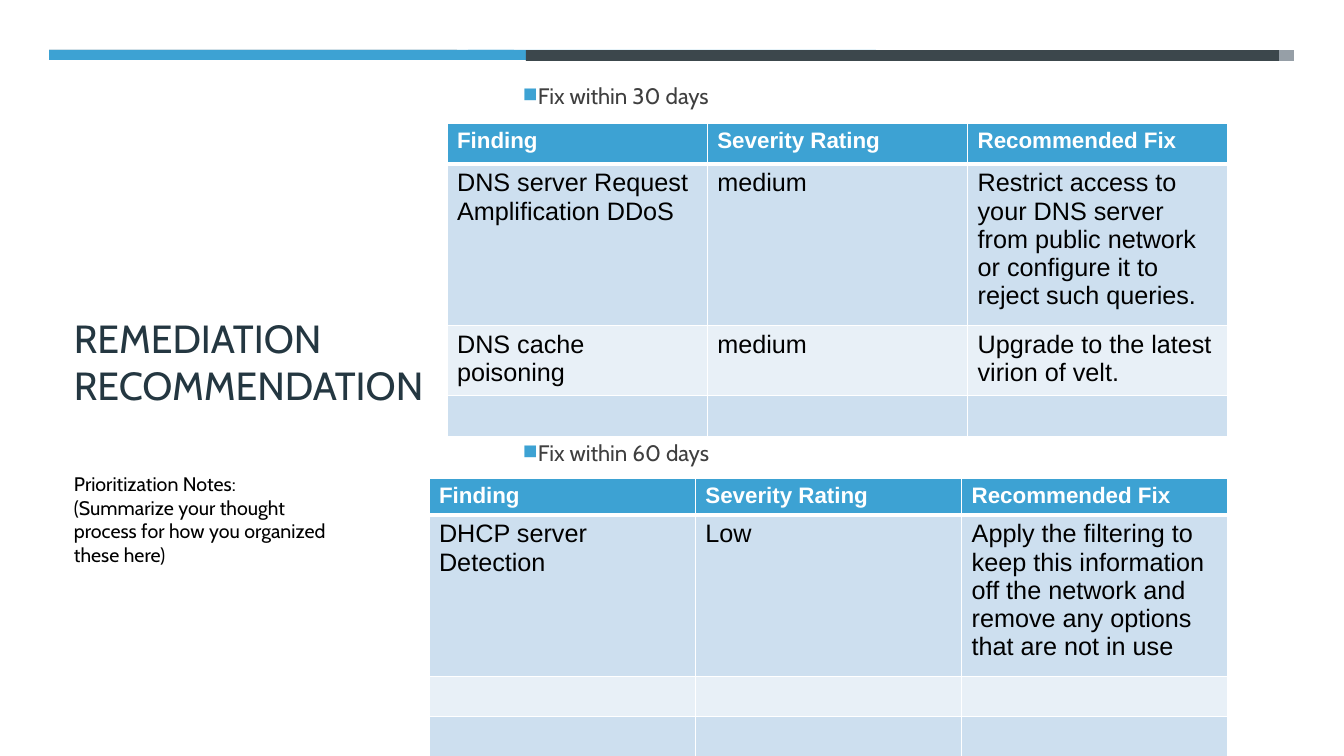
import pptx
import pptx.dml.color
import pptx.enum.shapes
import pptx.enum.text
import pptx.oxml
import pptx.oxml.ns
import pptx.util

RGB = pptx.dml.color.RGBColor
ANCHOR = pptx.enum.text.MSO_ANCHOR
BLUE = RGB(0x3D, 0xA2, 0xD3)
SLATE = RGB(0x46, 0x53, 0x59)
CHARCOAL = RGB(0x3C, 0x47, 0x4C)
GRAY = RGB(0x96, 0x9F, 0xA7)
NAVY = RGB(0x24, 0x37, 0x41)
TEXT_GRAY = RGB(0x3F, 0x3F, 0x3F)
BAND_DARK = RGB(0xCD, 0xDF, 0xEF)
BAND_LIGHT = RGB(0xE8, 0xF0, 0xF7)
WHITE = RGB(0xFF, 0xFF, 0xFF)
BLACK = RGB(0, 0, 0)

TITLE = "REMEDIATION RECOMMENDATION"
NOTES = [
    "Prioritization Notes:",
    "(Summarize your thought process for how you organized these here)",
]
HEADER = ("Finding", "Severity Rating", "Recommended Fix")
EMPTY = ("", "", "")
# Each section: heading, heading top, table left, table top, least row heights, rows
SECTIONS = [
    ("Fix within 30 days", 77, 447, 123, (41, 41, 41, 41), [
        HEADER,
        ("DNS server Request Amplification DDoS", "medium",
         "Restrict access to your DNS server from public network "
         "or configure it to reject such queries."),
        ("DNS cache poisoning", "medium", "Upgrade to the latest virion of velt."),
        EMPTY,
    ]),
    ("Fix within 60 days", 434, 429, 478, (30, 132, 33, 33), [
        HEADER,
        ("DHCP server Detection", "Low",
         "Apply the filtering to keep this information off the network "
         "and remove any options that are not in use"),
        EMPTY,
        EMPTY,
    ]),
]
TABLE_RIGHT = 1228
# Each bar: left, width, height, colour
BARS = [
    (49, 408, 10, SLATE),
    (886, 408, 11, GRAY),
    (468, 408, 10, BLUE),
    (49, 465, 10, BLUE),
    (526, 753, 11, CHARCOAL),
]
BAR_TOP = 50


def px(count):
    return pptx.util.Emu(round(count * 914400 / 100.8))


def write(frame, lines, *, size, color, font="Cabin", bold=False, anchor=ANCHOR.TOP):
    frame.word_wrap = True
    frame.vertical_anchor = anchor
    for index, line in enumerate(lines):
        para = frame.add_paragraph() if index else frame.paragraphs[0]
        span = para.add_run()
        span.text = line
        span.font.name = font
        span.font.size = pptx.util.Pt(size)
        span.font.bold = bold
        span.font.color.rgb = color


def add_text(page, left, top, width, height, lines, **style):
    box = page.shapes.add_textbox(px(left), px(top), px(width), px(height))
    write(box.text_frame, lines, **style)
    return box


def add_bullet(para):
    props = para._p.get_or_add_pPr()
    props.set("marL", "0")
    props.set("indent", "-91440")
    namespace = pptx.oxml.ns.nsdecls("a")
    for xml in (f'<a:buClr {namespace}><a:srgbClr val="{BLUE}"/></a:buClr>',
                f'<a:buSzPct {namespace} val="80000"/>',
                f'<a:buChar {namespace} char="◼"/>'):
        props.append(pptx.oxml.parse_xml(xml))


def set_borders(cell, bottom_points):
    props = cell._tc.get_or_add_tcPr()
    sides = (("L", 1), ("R", 1), ("T", 1), ("B", bottom_points))
    for index, (side, points) in enumerate(sides):
        props.insert(index, pptx.oxml.parse_xml(
            f'<a:ln{side} {pptx.oxml.ns.nsdecls("a")} w="{pptx.util.Pt(points)}">'
            f'<a:solidFill><a:srgbClr val="{WHITE}"/></a:solidFill></a:ln{side}>'))


def add_findings(page, left, top, heights, rows):
    width = TABLE_RIGHT - left
    table = page.shapes.add_table(len(rows), len(HEADER), px(left), px(top),
                                  px(width), px(sum(heights))).table
    for column in table.columns:
        column.width = px(width / len(HEADER))
    for row_index, texts in enumerate(rows):
        table.rows[row_index].height = px(heights[row_index])
        is_header = row_index == 0
        band = BAND_DARK if row_index % 2 else BAND_LIGHT
        for column_index, text in enumerate(texts):
            cell = table.cell(row_index, column_index)
            cell.fill.solid()
            cell.fill.fore_color.rgb = BLUE if is_header else band
            set_borders(cell, 3 if is_header else 1)
            if text:
                write(cell.text_frame, [text], font="Arial", bold=is_header,
                      size=16 if is_header else 18,
                      color=WHITE if is_header else BLACK)


def main():
    deck = pptx.Presentation()
    deck.slide_width, deck.slide_height = px(1344), px(756)
    page = deck.slides.add_slide(deck.slide_layouts[6])

    for left, width, height, color in BARS:
        bar = page.shapes.add_shape(pptx.enum.shapes.MSO_SHAPE.RECTANGLE,
                                    px(left), px(BAR_TOP), px(width), px(height))
        bar.shadow.inherit = False
        bar.fill.solid()
        bar.fill.fore_color.rgb = color
        bar.line.fill.background()

    add_text(page, 64, 77, 450, 568, [TITLE], size=28, color=NAVY, anchor=ANCHOR.MIDDLE)

    for heading, heading_top, left, top, heights, rows in SECTIONS:
        box = add_text(page, 513, heading_top, 715, 37, [heading],
                       size=16, color=TEXT_GRAY, anchor=ANCHOR.MIDDLE)
        add_bullet(box.text_frame.paragraphs[0])
        add_findings(page, left, top, heights, rows)

    notes = add_text(page, 64, 462, 296, 130, NOTES, size=14, color=BLACK)
    notes.text_frame.margin_top = notes.text_frame.margin_bottom = px(10)

    deck.save("out.pptx")


if __name__ == "__main__":
    main()
